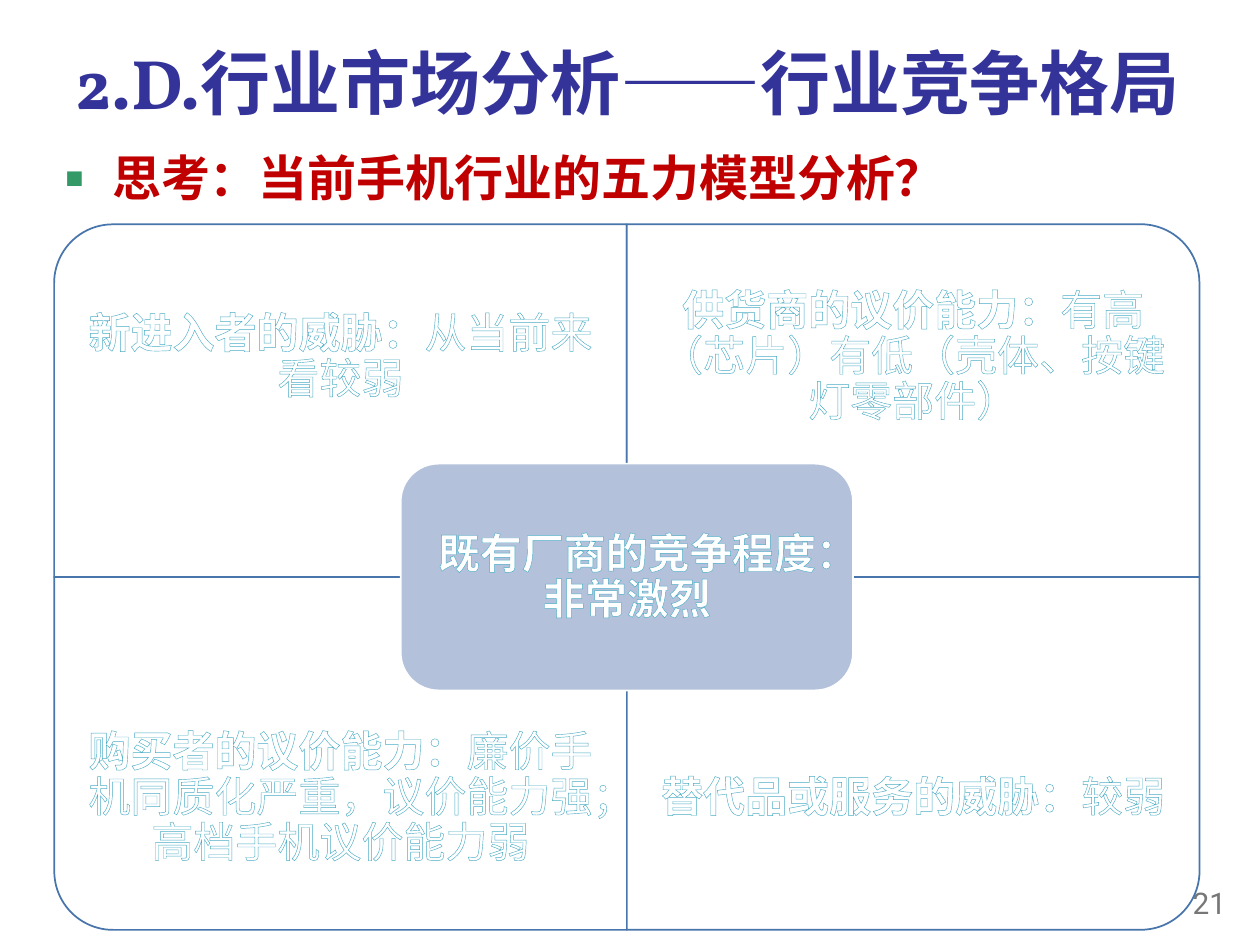
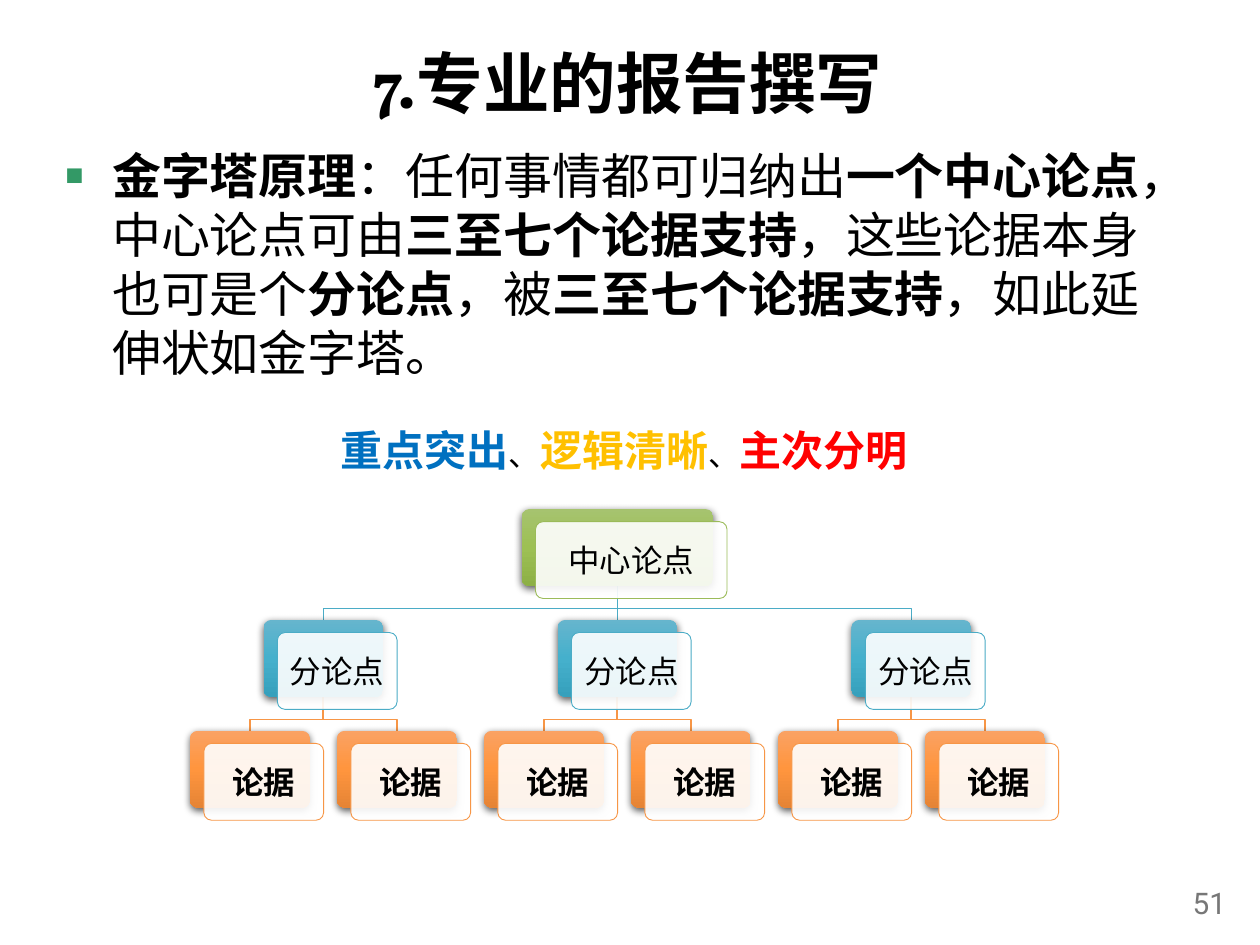
"""Build two slides: a five-forces matrix and a pyramid-principle tree."""
from lxml import etree
from pptx import Presentation
from pptx import util as u
from pptx.dml.color import RGBColor
from pptx.enum import shapes as kinds, text as txt
from pptx.oxml.ns import qn

WIDTH, HEIGHT = 10, 7.5
CJK = "Noto Sans CJK SC"
BLACK, WHITE, TEAL, ORANGE, GREEN = "000000", "FFFFFF", "4BACC6", "F79646", "9BBB59"

FORCES = {
    "title": ("2.D.行业市场分析——行业竞争格局", 40, "333399"),
    "body": [("思考：当前手机行业的五力模型分析？", True)],
    "body_color": "C00000",
    "body_spacing": 35,
    "number": "21",
}
QUADRANTS = [
    ("新进入者的威胁：", "从当前来看较弱", 270),
    ("供货商的议价能力：", "有高（芯片）有低（壳体、按键灯零部件）", 0),
    ("购买者的议价能力：", "廉价手机同质化严重，议价能力强；高档手机议价能力弱", 180),
    ("替代品或服务的威胁：", "较弱", 90),
]
RIVALRY = "既有厂商的竞争程度：非常激烈"

REPORT = {
    "title": ("7.专业的报告撰写", 38, BLACK),
    "body": [
        ("金字塔原理", True), ("：任何事情都可归纳出", False),
        ("一个中心论点", True), ("，中心论点可由", False),
        ("三至七个论据支持", True), ("，这些论据本身也可是个", False),
        ("分论点", True), ("，被", False),
        ("三至七个论据支持", True), ("，如此延伸状如金字塔。", False),
    ],
    "body_color": BLACK,
    "body_spacing": 33.7,
    "number": "51",
}
VIRTUES = [("重点突出", "0070C0"), ("逻辑清晰", "FFC000"), ("主次分明", "FF0000")]
LEVELS = [
    ("中心论点", 1, 1.52, GREEN, ("A6C36F", "9DC054", "8DB045"), False),
    ("分论点", 3, 0.95, TEAL, ("66B5CD", "45B0CC", "36A0BC"), False),
    ("论据", 6, 0.95, ORANGE, ("FAA263", "FF953E", "E58435"), True),
]


def rgb(value):
    return RGBColor.from_string(value)


def box(*lengths):
    return [u.Inches(length) for length in lengths]


def child(parent, tag, **attributes):
    return etree.SubElement(parent, qn(tag), **attributes)


def set_font(paragraph, size, color, name=CJK, bold=None, align=None, spacing=None):
    paragraph.alignment = align
    paragraph.space_before = u.Pt(0)
    if spacing:
        paragraph.line_spacing = u.Pt(spacing)
    font = paragraph.font
    font.size, font.name, font.bold = u.Pt(size), name, bold
    font.color.rgb = rgb(color)
    child(paragraph._p.pPr.find(qn("a:defRPr")), "a:ea", typeface=CJK)


def add_runs(paragraph, parts):
    runs = []
    for words, bold in parts:
        run = paragraph.add_run()
        run.text, run.font.bold = words, bold
        runs.append(run)
    return runs


def set_frame(shape, inset=None):
    frame = shape.text_frame
    frame.word_wrap = True
    frame.auto_size = txt.MSO_AUTO_SIZE.NONE
    if inset is not None:
        frame.vertical_anchor = txt.MSO_ANCHOR.MIDDLE
        frame.margin_left = frame.margin_right = u.Inches(inset)
        frame.margin_top = frame.margin_bottom = u.Inches(inset)
    return frame.paragraphs[0]


def place(shape, *lengths):
    shape.left, shape.top, shape.width, shape.height = box(*lengths)


def add_bullet(paragraph):
    properties = paragraph._p.get_or_add_pPr()
    indent = u.Inches(0.38)
    properties.set("marL", str(indent))
    properties.set("indent", str(-indent))
    child(child(properties, "a:buClr"), "a:srgbClr", val="339966")
    child(properties, "a:buSzPct", val="120000")
    child(properties, "a:buFont", typeface="Arial")
    child(properties, "a:buChar", char="▪")


def add_slide(presentation, content):
    slide = presentation.slides.add_slide(presentation.slide_layouts[1])
    title, body = slide.placeholders
    place(title, 0.38, 0.28, 9.2, 0.74)
    words, size, color = content["title"]
    paragraph = set_frame(title)
    paragraph.text = words
    set_font(paragraph, size, color, "Vollkorn", True, txt.PP_ALIGN.CENTER)

    place(body, 0.41, 1.1, 9.09, 5.6)
    paragraph = set_frame(body)
    add_runs(paragraph, content["body"])
    add_bullet(paragraph)
    set_font(paragraph, 28, content["body_color"], "Arial", spacing=content["body_spacing"])

    paragraph = set_frame(slide.shapes.add_textbox(*box(9.08, 6.97, 0.75, 0.4)))
    paragraph.text = content["number"]
    set_font(paragraph, 17, "777777", "Roboto", align=txt.PP_ALIGN.RIGHT)
    return slide


def add_panel(slide, kind, lengths, fill, line, line_width):
    shape = slide.shapes.add_shape(kind, *box(*lengths))
    shape.shadow.inherit = False
    if fill:
        shape.fill.solid()
        shape.fill.fore_color.rgb = rgb(fill)
    if line:
        shape.line.color.rgb = rgb(line)
        shape.line.width = u.Pt(line_width)
    else:
        shape.line.fill.background()
    return shape


def write_outlined(shape, parts, inset):
    paragraph = set_frame(shape, inset)
    for run in add_runs(paragraph, parts):
        outline = etree.Element(qn("a:ln"), w=str(u.Pt(0.8)))
        child(child(outline, "a:solidFill"), "a:srgbClr", val=TEAL)
        run._r.get_or_add_rPr().insert(0, outline)
    set_font(paragraph, 24, WHITE, "Arial", align=txt.PP_ALIGN.CENTER, spacing=26)


def build_forces(presentation):
    slide = add_slide(presentation, FORCES)
    left, top, width, height = 0.43, 1.78, 4.545, 2.8
    text_height = height * 0.75
    for index, (force, verdict, rotation) in enumerate(QUADRANTS):
        row, column = divmod(index, 2)
        x, y = left + column * width, top + row * height
        wide, high = (height, width) if rotation % 180 else (width, height)
        lengths = (x + (width - wide) / 2, y + (height - high) / 2, wide, high)
        panel = add_panel(slide, kinds.MSO_SHAPE.ROUND_1_RECTANGLE, lengths, WHITE, "4875AC", 1)
        panel.rotation = rotation
        text_top = y + row * (height - text_height)
        label = slide.shapes.add_textbox(*box(x, text_top, width, text_height))
        write_outlined(label, [(force, True), (verdict, False)], 0.19)
    core_width, core_height = 3.59, 1.8
    lengths = (left + width - core_width / 2, top + height - core_height / 2,
               core_width, core_height)
    core = add_panel(slide, kinds.MSO_SHAPE.ROUNDED_RECTANGLE, lengths, "B3C1DB", WHITE, 1)
    write_outlined(core, [(RIVALRY, True)], 0.19)


def shade(card, colors):
    card.fill.gradient()
    card.fill.gradient_angle = 270
    properties = card._element.spPr
    stops = properties.find(".//" + qn("a:gsLst"))
    stops.clear()
    for index, color in enumerate(colors):
        child(child(stops, "a:gs", pos=str(index * 50000)), "a:srgbClr", val=color)
    shadow = child(properties.find(qn("a:effectLst")), "a:outerShdw", blurRad=str(u.Pt(4.5)),
                   dist=str(u.Pt(1.5)), dir="5400000", rotWithShape="0")
    child(child(shadow, "a:srgbClr", val=BLACK), "a:alpha", val="63000")


def add_card(slide, x, y, width, height, level):
    label, _, _, color, colors, bold = level
    rounded = kinds.MSO_SHAPE.ROUNDED_RECTANGLE
    back = add_panel(slide, rounded, (x, y, width, height), None, None, 0)
    shade(back, colors)
    front = add_panel(slide, rounded, (x + 0.11, y + 0.1, width, height), WHITE, color, 0.5)
    child(front._element.spPr.find(".//" + qn("a:srgbClr")), "a:alpha", val="90000")
    for card in (back, front):
        card.adjustments[0] = 0.1
    paragraph = set_frame(front, 0.07)
    paragraph.text = label
    set_font(paragraph, 18, BLACK, bold=bold, align=txt.PP_ALIGN.CENTER)
    return back


def add_branch(slide, start, end, color):
    (x1, y1), (x2, y2) = start, end
    straight = abs(x1 - x2) < 0.01
    if straight:
        branch = slide.shapes.add_connector(kinds.MSO_CONNECTOR.STRAIGHT, *box(x1, y1, x2, y2))
        child(branch._element.spPr, "a:effectLst")
    else:
        bend = y2 - 0.09
        builder = slide.shapes.build_freeform(*box(x1, y1))
        builder.add_line_segments([box(x1, bend), box(x2, bend), box(x2, y2)], close=False)
        branch = builder.convert_to_shape()
        branch.fill.background()
        branch.shadow.inherit = False
    branch.line.color.rgb = rgb(color)
    branch.line.width = u.Pt(1)
    return branch if straight else None


def build_report(presentation):
    slide = add_slide(presentation, REPORT)
    left, span, top, pitch, height = 1.4, 7, 4.04, 0.88, 0.61
    centers = [[left + span * (i + 0.5) / level[1] for i in range(level[1])] for level in LEVELS]

    joints = []
    for depth in range(len(LEVELS) - 1, 0, -1):
        count, parents = LEVELS[depth][1], LEVELS[depth - 1][1]
        bottom = top + (depth - 1) * pitch + height
        for index, x in enumerate(centers[depth]):
            parent = index * parents // count
            branch = add_branch(slide, (centers[depth - 1][parent], bottom),
                                (x, top + depth * pitch), LEVELS[depth][3])
            if branch is not None:
                joints.append((branch, (depth - 1, parent), (depth, index)))

    cards = {}
    for depth, level in enumerate(LEVELS):
        for index, x in enumerate(centers[depth]):
            cards[depth, index] = add_card(slide, x - level[2] / 2, top + depth * pitch,
                                           level[2], height, level)
    for branch, parent, leaf in joints:
        branch.begin_connect(cards[parent], 2)
        branch.end_connect(cards[leaf], 0)

    paragraph = set_frame(slide.shapes.add_textbox(*box(0.42, 3.32, 9.07, 0.51)))
    for index, (virtue, color) in enumerate(VIRTUES):
        if index:
            add_runs(paragraph, [("、", False)])[0].font.size = u.Pt(18)
        add_runs(paragraph, [(virtue, True)])[0].font.color.rgb = rgb(color)
    set_font(paragraph, 24, BLACK, align=txt.PP_ALIGN.CENTER, spacing=29)


def main():
    presentation = Presentation()
    presentation.slide_width, presentation.slide_height = box(WIDTH, HEIGHT)
    build_forces(presentation)
    build_report(presentation)
    presentation.save("out.pptx")


if __name__ == "__main__":
    main()
